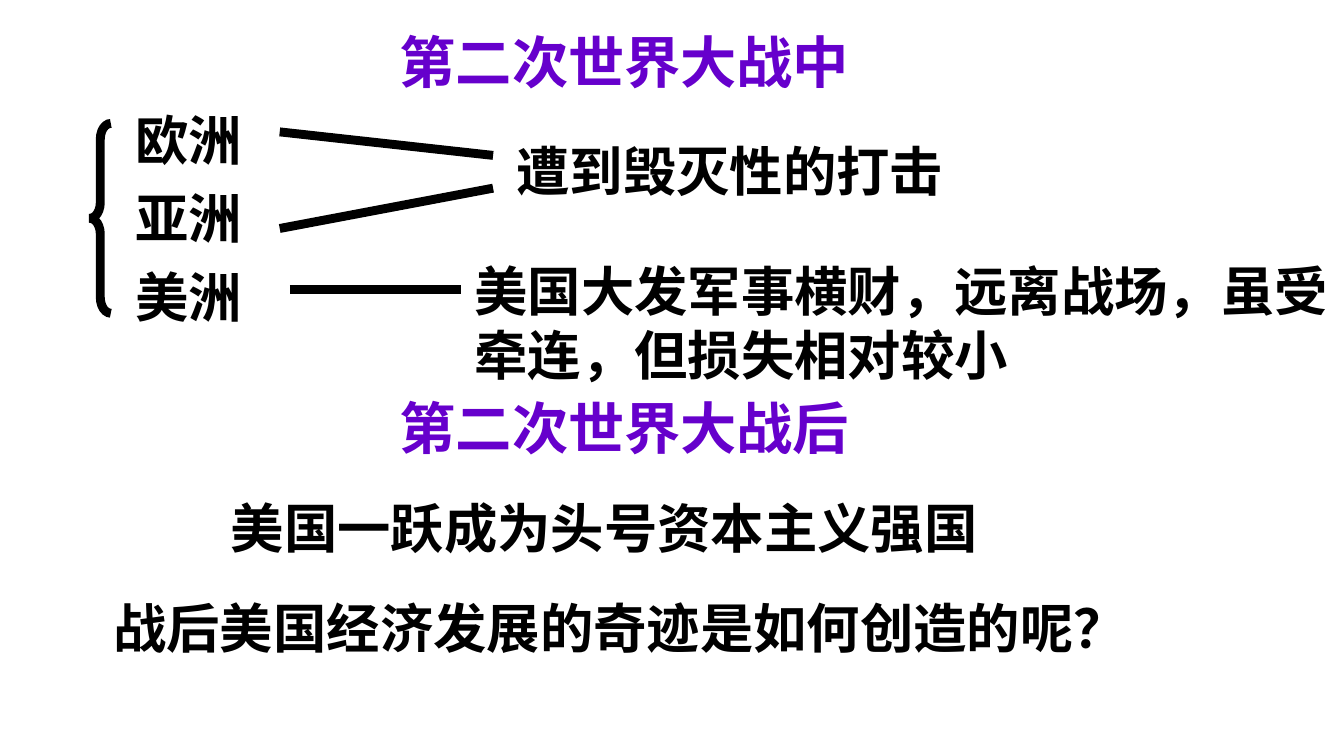
from dataclasses import dataclass

from lxml.etree import SubElement
from pptx import Presentation
from pptx.dml.color import RGBColor
from pptx.enum.shapes import MSO_CONNECTOR, MSO_SHAPE
from pptx.enum.text import MSO_ANCHOR, MSO_AUTO_SIZE, PP_ALIGN
from pptx.oxml.ns import qn
from pptx.util import Cm, Pt


@dataclass(frozen=True)
class Theme:
    ink: RGBColor = RGBColor(0x00, 0x00, 0x00)
    accent: RGBColor = RGBColor(0x66, 0x00, 0xCC)
    heading_size: Pt = Pt(19)
    body_size: Pt = Pt(18)
    line_width: Pt = Pt(3)
    item_gap: Pt = Pt(5)
    font: str = "Noto Sans CJK SC"
    title_font: str = "Arial"


@dataclass(frozen=True)
class Box:
    left: float
    top: float
    width: float
    height: float

    def inner(self, left, top, width, height):
        """Return a box whose position is measured from this one."""
        return Box(self.left + left, self.top + top, width, height)

    def lengths(self):
        return Cm(self.left), Cm(self.top), Cm(self.width), Cm(self.height)


THEME = Theme()
HEADING = (3.6, 0, 7.7, 0.94)


def place(shape, box):
    shape.left, shape.top, shape.width, shape.height = box.lengths()


def write(shape, lines, size=THEME.body_size, color=THEME.ink, font=THEME.font,
          anchor=MSO_ANCHOR.TOP, align=PP_ALIGN.LEFT, spacing=1.0):
    frame = shape.text_frame
    frame.text = "\n".join(lines)
    frame.word_wrap = True
    frame.auto_size = MSO_AUTO_SIZE.NONE
    frame.vertical_anchor = anchor
    frame.margin_left = frame.margin_right = Cm(0.16)
    frame.margin_top = frame.margin_bottom = Cm(0.08)
    for index, para in enumerate(frame.paragraphs):
        para.alignment = align
        para.line_spacing = spacing
        para.space_before = THEME.item_gap if index else Pt(0)
        for span in para.runs:
            span.font.size = size
            span.font.bold = True
            span.font.name = font
            span.font.color.rgb = color
            east_asian = SubElement(span.font._element, qn("a:ea"))
            east_asian.set("typeface", THEME.font)


def add_text(page, box, text, **style):
    shape = page.shapes.add_textbox(*box.lengths())
    write(shape, [text], **style)


def write_list(shape, items):
    """Fill a body placeholder with unbulleted, unindented items."""
    write(shape, items, anchor=MSO_ANCHOR.MIDDLE)
    for para in shape.text_frame.paragraphs:
        properties = para._p.get_or_add_pPr()
        properties.set("marL", "0")
        properties.set("indent", "0")
        SubElement(properties, qn("a:buNone"))


def add_line(page, box, start, end):
    points = [Cm(value) for x, y in (start, end)
              for value in (box.left + x, box.top + y)]
    line = page.shapes.add_connector(MSO_CONNECTOR.STRAIGHT, *points)
    line.line.color.rgb = THEME.ink
    line.line.width = THEME.line_width
    SubElement(line._element.spPr, qn("a:effectLst"))


def add_brace(page, box):
    brace = page.shapes.add_shape(MSO_SHAPE.LEFT_BRACE, *box.lengths())
    brace.shadow.inherit = False
    brace.fill.background()
    brace.line.color.rgb = THEME.ink
    brace.line.width = THEME.line_width
    brace.adjustments[0] = 0.75
    outline = brace._element.spPr.find(qn("a:ln"))
    SubElement(outline, qn("a:miter")).set("lim", "800000")


def build_during_war(page, box):
    title = page.shapes.title
    place(title, box.inner(*HEADING))
    write(title, ["第二次世界大战中"], size=THEME.heading_size,
          color=THEME.accent, font=THEME.title_font)

    continents = page.placeholders[1]
    place(continents, box.inner(0.45, 0.94, 2.64, 2.8))
    write_list(continents, ["欧洲", "亚洲", "美洲"])
    add_brace(page, box.inner(0.07, 1.22, 0.25, 2.26))

    add_text(page, box.inner(4.99, 1.32, 6.55, 0.91), "遭到毁灭性的打击")
    add_text(page, box.inner(4.49, 2.75, 10.52, 1.68),
             "美国大发军事横财，远离战场，虽受牵连，但损失相对较小")
    for start, end in (((2.33, 1.32), (4.87, 1.6)),
                       ((2.33, 2.47), (4.87, 1.99)),
                       ((2.45, 3.2), (4.49, 3.2))):
        add_line(page, box, start, end)


def build_after_war(page, box):
    add_text(page, box.inner(*HEADING), "第二次世界大战后",
             size=THEME.heading_size, color=THEME.accent)
    add_text(page, box.inner(1.59, 1.22, 10.72, 0.91),
             "美国一跃成为头号资本主义强国", align=PP_ALIGN.JUSTIFY)
    add_text(page, box.inner(0.19, 2.26, 14.22, 1.07),
             "战后美国经济发展的奇迹是如何创造的呢？",
             align=PP_ALIGN.JUSTIFY, spacing=1.2)


def main():
    deck = Presentation()
    deck.slide_width, deck.slide_height = Cm(16), Cm(9)
    page = deck.slides.add_slide(deck.slide_layouts[1])
    build_during_war(page, Box(1, 0.25, 15, 4.35))
    build_after_war(page, Box(1, 4.6, 15, 3.4))
    deck.save("out.pptx")


if __name__ == "__main__":
    main()
